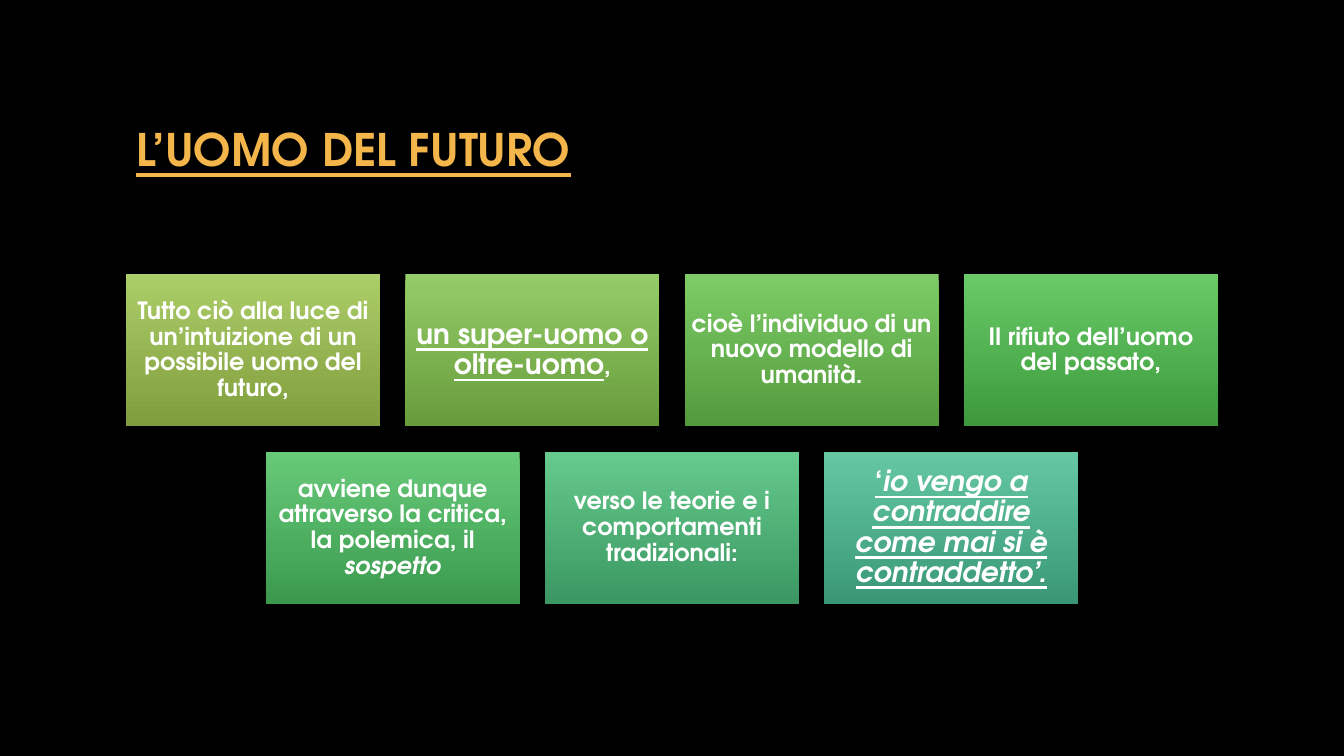
from pptx import Presentation
from pptx import util as u
from pptx.dml.color import RGBColor
from pptx.enum import shapes, text

FONT = "TeX Gyre Adventor"


def color(value):
    return RGBColor.from_string(value)


def add_span(para, words, hue, **format_values):
    span = para.add_run()
    span.text = words
    for name, value in {"name": FONT, "bold": True, **format_values}.items():
        setattr(span.font, name, value)
    span.font.color.rgb = color(hue)


# Slide with black background
deck = Presentation()
deck.slide_width, deck.slide_height = u.Pt(960), u.Pt(540)
page = deck.slides.add_slide(deck.slide_layouts[5])
page.background.fill.solid()
page.background.fill.fore_color.rgb = color("000000")

# Title
title = page.shapes.title
title.left, title.top = u.Pt(90), u.Pt(48)
title.width, title.height = u.Pt(780), u.Pt(116)
frame = title.text_frame
frame.auto_size = text.MSO_AUTO_SIZE.NONE
frame.vertical_anchor = text.MSO_ANCHOR.MIDDLE
para = frame.paragraphs[0]
para.alignment = text.PP_ALIGN.LEFT
add_span(para, "L’UOMO DEL FUTURO", "F4B54B", size=u.Pt(32), underline=True)

# Cards: top colour, bottom colour, spans
plain = {"size": u.Pt(17)}
strong = {"size": u.Pt(20), "underline": True}
rows = [
    [
        ("ACCE68", "7F9D3C", [("Tutto ciò alla luce di un’intuizione di un possibile uomo del futuro,", plain)]),
        ("94CD67", "689B3C", [("un super-uomo o oltre-uomo", strong), (",", plain)]),
        ("7DCC67", "539A3C", [("cioè l’individuo di un nuovo modello di umanità.", plain)]),
        ("68CB67", "3D993C", [("Il rifiuto dell’uomo del passato,", plain)]),
    ],
    [
        ("66CA78", "3B994E", [("avviene dunque attraverso la critica, la polemica, il ", plain),
                              ("sospetto", {**plain, "italic": True})]),
        ("66C98D", "3B9862", [("verso le teorie e i comportamenti tradizionali:", plain)]),
        ("65C8A3", "3A9776", [("‘", strong),
                              ("io vengo a contraddire come mai si è contraddetto’.", {**strong, "italic": True})]),
    ],
]

# Each row is centred on the slide
width, height, gap, first_top = 181.5, 108.9, 18, 195.8
for row_index, cards in enumerate(rows):
    row_width = len(cards) * (width + gap) - gap
    left = (960 - row_width) / 2
    top = first_top + row_index * (height + gap)
    for column, (top_hue, bottom_hue, spans) in enumerate(cards):
        box = page.shapes.add_shape(
            shapes.MSO_SHAPE.RECTANGLE,
            u.Pt(left + column * (width + gap)), u.Pt(top), u.Pt(width), u.Pt(height))
        box.shadow.inherit = False
        box.line.fill.background()
        box.fill.gradient()
        box.fill.gradient_angle = 270
        for stop, hue in zip(box.fill.gradient_stops, (top_hue, bottom_hue)):
            stop.color.rgb = color(hue)

        frame = box.text_frame
        frame.word_wrap = True
        frame.vertical_anchor = text.MSO_ANCHOR.MIDDLE
        for side in ("left", "top", "right", "bottom"):
            setattr(frame, f"margin_{side}", u.Pt(5))
        para = frame.paragraphs[0]
        para.alignment = text.PP_ALIGN.CENTER
        para.line_spacing = 0.9
        for words, format_values in spans:
            add_span(para, words, "FFFFFF", **format_values)

deck.save("out.pptx")
